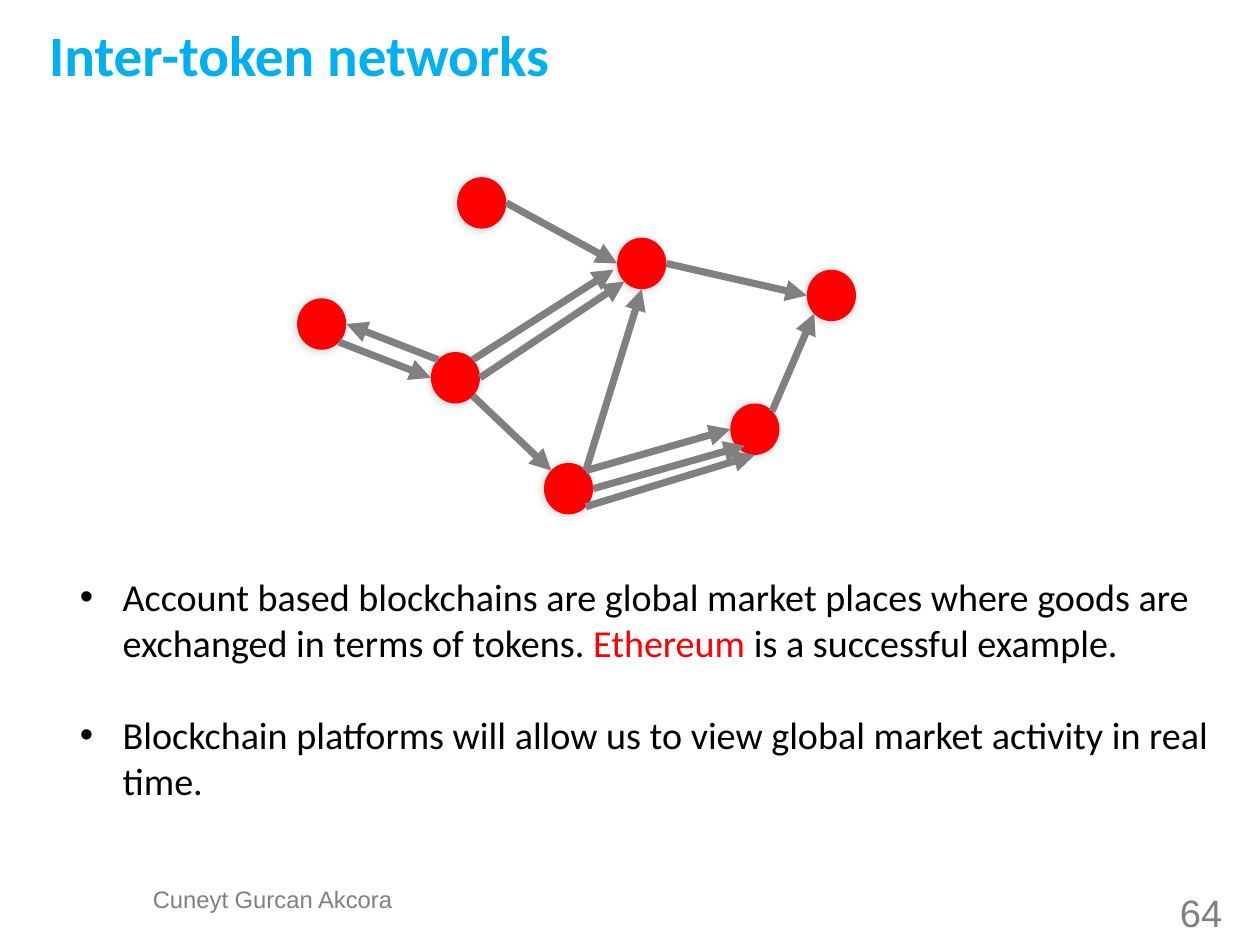
import pptx
import pptx.dml.color
import pptx.enum.shapes
import pptx.enum.text
import pptx.oxml
import pptx.oxml.ns
import pptx.util

PX = 9144
SLIDE_SIZE = (10080625, 7559675)
COLORS = {"title": "00B0F0", "node": "FF0000", "edge": "808080",
          "body": "000000", "footer": "808080"}
NODE_SIZE = (43, 45)
NODES = {"west": (260, 261), "source": (377, 308), "north": (400, 155),
         "south": (476, 405), "east": (706, 236), "southeast": (639, 353),
         "center": (540, 208)}
ANCHORS = {"top left": (0.15, 0.15), "top right": (0.85, 0.15),
           "bottom left": (0.15, 0.85), "bottom right": (0.85, 0.85),
           "left": (0, 0.5), "right": (1, 0.5), "bottom": (0.5, 1),
           "beside left": (-0.07, 0.62), "lower inside": (0.3, 0.82)}
TRANSFERS = [
    ("west", "bottom right", "source", "left"),
    ("source", "right", "center", "bottom left"),
    ("north", "right", "center", "left"),
    ("center", "right", "east", "left"),
    ("southeast", "top right", "east", "bottom left"),
    ("south", "top right", "center", "bottom"),
    ("source", "bottom right", "south", "top left"),
    ("south", "top right", "southeast", "left"),
    ("source", "top right", "center", "beside left"),
    ("source", "top left", "west", "right"),
    ("south", "right", "southeast", "lower inside"),
    ("south", "bottom right", "southeast", "bottom"),
]
POINTS = [
    [("Account based blockchains are global market places where goods are "
      "exchanged in terms of tokens. ", "body"),
     ("Ethereum ", "node"), ("is a successful example.", "body")],
    [("Blockchain platforms will allow us to view global market activity "
      "in real time.", "body")],
]


def px(*lengths):
    """Turn px lengths into EMU."""
    return [pptx.util.Emu(round(length * PX)) for length in lengths]


def rgb(name):
    """Look up a named colour."""
    return pptx.dml.color.RGBColor.from_string(COLORS[name])


def add_xml(parent, xml):
    """Append one DrawingML element to a parent."""
    namespace = pptx.oxml.ns.nsdecls("a")
    parent.append(pptx.oxml.parse_xml(xml.replace(" ", f" {namespace} ", 1)))


def add_frame(slide, box, insets=(0, 0, 0, 0)):
    """Add a wrapping text box and return its frame."""
    frame = slide.shapes.add_textbox(*px(*box)).text_frame
    frame.word_wrap = True
    (frame.margin_left, frame.margin_top,
     frame.margin_right, frame.margin_bottom) = px(*insets)
    return frame


def add_run(paragraph, text, size, font, color, bold=False):
    """Add one styled run."""
    run = paragraph.add_run()
    run.text = text
    run.font.size = pptx.util.Pt(size)
    run.font.name = font
    run.font.bold = bold
    run.font.color.rgb = rgb(color)


def add_title(slide, box):
    """Place the slide title."""
    heading = add_frame(slide, box).paragraphs[0]
    heading.line_spacing = 1.02
    add_run(heading, "Inter-token networks", 36, "Calibri", "title", True)


def add_network(slide, box):
    """Draw the token nodes and the arrows between them."""
    left, top = box[:2]
    width, height = NODE_SIZE
    for x, y in NODES.values():
        node = slide.shapes.add_shape(
            pptx.enum.shapes.MSO_SHAPE.OVAL,
            *px(left + x, top + y, width, height))
        node.fill.solid()
        node.fill.fore_color.rgb = rgb("node")
        node.line.fill.background()
        node.shadow.inherit = False
        effects = node._element.spPr.find(pptx.oxml.ns.qn("a:effectLst"))
        add_xml(effects, '<a:outerShdw blurRad="76200" dist="12700" '
                'dir="8100000" rotWithShape="0"><a:srgbClr val="000000">'
                '<a:alpha val="20000"/></a:srgbClr></a:outerShdw>')

    def end_point(node_name, anchor):
        """Find the place of an anchor on a node."""
        x, y = NODES[node_name]
        across, down = ANCHORS[anchor]
        return px(left + x + across * width, top + y + down * height)

    for sender, exit_side, receiver, entry_side in TRANSFERS:
        arrow = slide.shapes.add_connector(
            pptx.enum.shapes.MSO_CONNECTOR.STRAIGHT,
            *end_point(sender, exit_side), *end_point(receiver, entry_side))
        arrow.line.color.rgb = rgb("edge")
        arrow.line.width = pptx.util.Pt(4.5)
        add_xml(arrow.line._get_or_add_ln(), '<a:tailEnd type="triangle"/>')
        add_xml(arrow._element.spPr, "<a:effectLst />")


def add_points(slide, box):
    """Place the bulleted statements."""
    frame = add_frame(slide, box, (10, 5, 10, 5))
    for index, point in enumerate(POINTS):
        paragraph = frame.add_paragraph() if index else frame.paragraphs[0]
        properties = paragraph._p.get_or_add_pPr()
        indent = px(37.5)[0]
        properties.set("marL", str(indent))
        properties.set("indent", str(-indent))
        if index:
            paragraph.space_before = pptx.util.Pt(29)
        add_xml(properties, '<a:buFont typeface="Arial"/>')
        add_xml(properties, '<a:buChar char="•"/>')
        for text, color in point:
            add_run(paragraph, text, 24, "Calibri", color)


def add_footer(slide, box, text, size):
    """Place one centred footer entry."""
    entry = add_frame(slide, box).paragraphs[0]
    entry.alignment = pptx.enum.text.PP_ALIGN.CENTER
    entry.line_spacing = 0.93
    add_run(entry, text, size, "Arial", "footer")


def main():
    """Build and save the slide."""
    deck = pptx.Presentation()
    deck.slide_width, deck.slide_height = SLIDE_SIZE
    slide = deck.slides.add_slide(deck.slide_layouts[6])
    add_footer(slide, (130, 776, 217, 37), "Cuneyt Gurcan Akcora", 15)
    add_footer(slide, (1001, 782, 100, 40), "64", 24)
    add_title(slide, (43, 16, 992, 55))
    add_points(slide, (60, 497, 1033, 212))
    add_network(slide, (0, 0, 1102, 497))
    deck.save("out.pptx")


if __name__ == "__main__":
    main()
